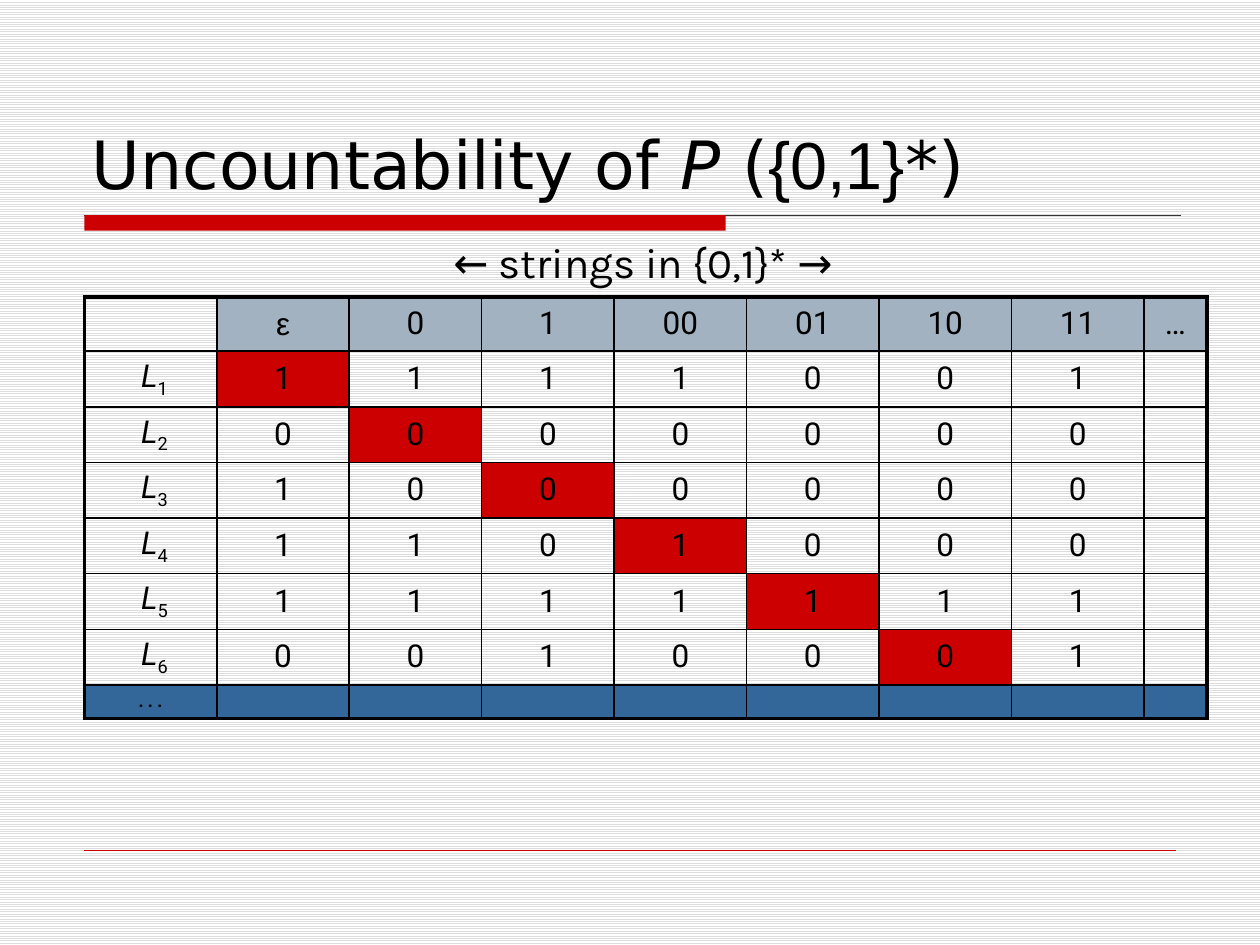
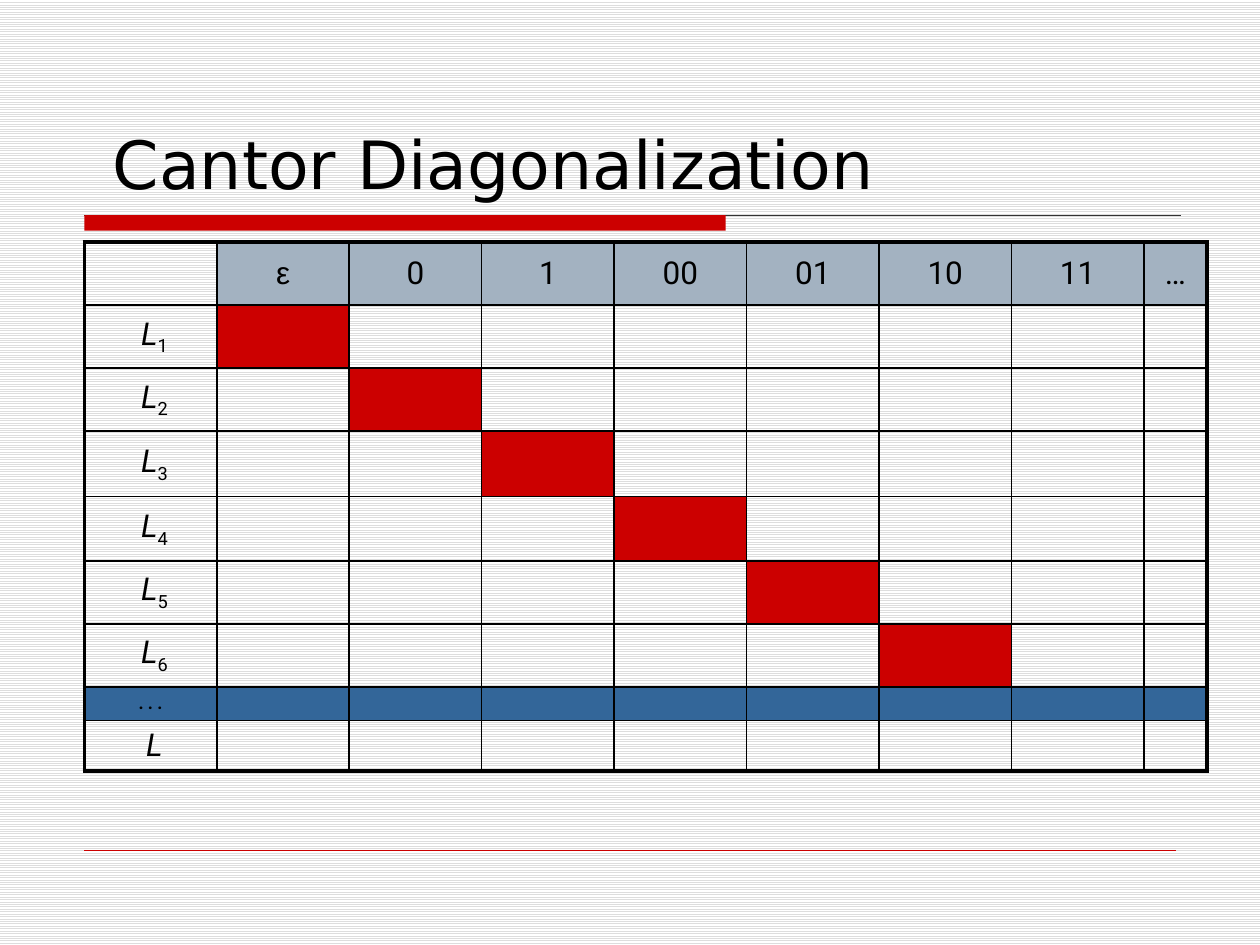
import pptx
import pptx.dml.color
import pptx.enum.dml
import pptx.enum.shapes
import pptx.enum.text
import pptx.oxml
import pptx.oxml.ns
import pptx.util
from pptx.util import Cm

BLACK, WHITE, STRIPE = "000000", "FFFFFF", "DDDDDD"
RED, HEADER, BLUE, RULE = "CC0000", "A3B2C1", "336699", "333333"
TITLE_FONT, CELL_FONT, CAPTION_FONT, SYMBOL_FONT = "DejaVu Sans", "Roboto", "Karla", "Arial"
STRINGS = ["ε", "0", "1", "00", "01", "10", "11", "…"]
COLUMNS = [2.67] * 8 + [1.27]
THIN, THICK = 1, 2.25


def color(value):
    return pptx.dml.color.RGBColor.from_string(value)


def set_font(font, name, size, bold=False):
    font.name = name
    font.size = pptx.util.Pt(size)
    font.bold = bold
    font.color.rgb = color(BLACK)


def add_line(slide, left, top, width, line_color, weight):
    line = slide.shapes.add_connector(
        pptx.enum.shapes.MSO_CONNECTOR.STRAIGHT, Cm(left), Cm(top), Cm(left + width), Cm(top))
    line.line.color.rgb = color(line_color)
    line.line.width = pptx.util.Pt(weight)
    line._element.spPr.append(pptx.oxml.parse_xml(
        "<a:effectLst %s/>" % pptx.oxml.ns.nsdecls("a")))


def add_decoration(slide, left, top, width):
    add_line(slide, left, top, width, RULE, 0.75)
    band = slide.shapes.add_shape(
        pptx.enum.shapes.MSO_SHAPE.RECTANGLE, Cm(left), Cm(top), Cm(12.93), Cm(0.31))
    band.shadow.inherit = False
    band.fill.solid()
    band.fill.fore_color.rgb = color(RED)
    band.line.fill.background()
    add_line(slide, left, top + 12.8, width - 0.1, RED, 0.25)


def add_title(slide, left, top, width, height, parts):
    box = slide.shapes.add_textbox(Cm(left), Cm(top), Cm(width), Cm(height))
    box.text_frame.word_wrap = True
    box.text_frame.vertical_anchor = pptx.enum.text.MSO_ANCHOR.BOTTOM
    paragraph = box.text_frame.paragraphs[0]
    for text, name, italic in parts:
        run = paragraph.add_run()
        run.text = text
        set_font(run.font, name, 38)
        run.font.italic = italic


def add_caption(slide, left, top, width, height, text):
    box = slide.shapes.add_textbox(Cm(left), Cm(top), Cm(width), Cm(height))
    box.text_frame.word_wrap = False
    box.text_frame.auto_size = pptx.enum.text.MSO_AUTO_SIZE.SHAPE_TO_FIT_TEXT
    paragraph = box.text_frame.paragraphs[0]
    paragraph.text = text
    set_font(paragraph.font, CAPTION_FONT, 24)


def set_borders(cell, weights):
    properties = cell._tc.get_or_add_tcPr()
    for index, (side, weight) in enumerate(zip("LRTB", weights)):
        properties.insert(index, pptx.oxml.parse_xml(
            '<a:ln%s %s w="%d"><a:solidFill><a:srgbClr val="%s"/></a:solidFill></a:ln%s>'
            % (side, pptx.oxml.ns.nsdecls("a"), pptx.util.Pt(weight), BLACK, side)))


def fill_cell(cell, text, fill):
    cell.vertical_anchor = pptx.enum.text.MSO_ANCHOR.MIDDLE
    if fill:
        cell.fill.solid()
        cell.fill.fore_color.rgb = color(fill)
    else:
        cell.fill.background()
    paragraph = cell.text_frame.paragraphs[0]
    paragraph.alignment = pptx.enum.text.PP_ALIGN.CENTER
    size = 10 if fill == BLUE else 18
    set_font(paragraph.font, SYMBOL_FONT if text == "ε" else CELL_FONT, size, fill == BLUE)
    if not text:
        paragraph._p.append(pptx.oxml.parse_xml(
            '<a:endParaRPr %s sz="%d"/>' % (pptx.oxml.ns.nsdecls("a"), size * 100)))
    elif text.startswith("L"):
        letter = paragraph.add_run()
        letter.text = " L"
        letter.font.italic = True
        if text[1:]:
            subscript = paragraph.add_run()
            subscript.text = text[1:]
            subscript._r.get_or_add_rPr().set("baseline", "-25000")
    else:
        paragraph.add_run().text = text


def cell_fill(row, column, label):
    if label == ". . .":
        return BLUE
    if row == 0 and column > 0:
        return HEADER
    if row == column and 1 <= row <= 6:
        return RED
    return None


def add_language_table(slide, left, top, heights, rows):
    grid = slide.shapes.add_table(
        len(rows), len(COLUMNS), Cm(left), Cm(top), Cm(sum(COLUMNS)), Cm(sum(heights)))
    table = grid.table
    table.first_row = False
    table.horz_banding = False
    for column, width in zip(table.columns, COLUMNS):
        column.width = Cm(width)
    for row, height in zip(table.rows, heights):
        row.height = Cm(height)
    last_row, last_column = len(rows) - 1, len(COLUMNS) - 1
    for row, texts in enumerate(rows):
        for column in range(len(COLUMNS)):
            cell = table.cell(row, column)
            text = texts[column] if column < len(texts) else ""
            fill_cell(cell, text, cell_fill(row, column, texts[0]))
            edges = (column == 0, column == last_column, row == 0, row == last_row)
            set_borders(cell, [THICK if edge else THIN for edge in edges])


def language_rows(memberships):
    rows = [[""] + STRINGS]
    rows += [["L%d" % number, *bits] for number, bits in enumerate(memberships, 1)]
    return rows + [[". . ."]]


def add_base_slide(presentation, title):
    slide = presentation.slides.add_slide(presentation.slide_layouts[6])
    background = slide.background.fill
    background.patterned()
    background.pattern = pptx.enum.dml.MSO_PATTERN.LIGHT_HORIZONTAL
    background.fore_color.rgb = color(STRIPE)
    background.back_color.rgb = color(WHITE)
    add_decoration(slide, 1.7, 4.34, 22.1)
    add_title(slide, 1.6, 0.84, 22.22, 3.38, title)
    return slide


def add_uncountability_slide(presentation):
    slide = add_base_slide(presentation, [
        ("Uncountability of ", TITLE_FONT, False), ("P ", TITLE_FONT, True),
        ("(", TITLE_FONT, False), ("{0,1}", SYMBOL_FONT, False), ("*)", TITLE_FONT, False)])
    memberships = ["1111001", "0000000", "1000000", "1101000", "1111111", "0010001"]
    add_language_table(slide, 1.7, 5.99, [1.09] * 7 + [0.66], language_rows(memberships))
    add_caption(slide, 8.89, 4.65, 8.84, 1.27, "← strings in {0,1}* →")


def add_diagonalization_slide(presentation):
    slide = add_base_slide(presentation, [(" Cantor Diagonalization", TITLE_FONT, False)])
    heights = [1.27, 1.27, 1.27, 1.32, 1.3, 1.27, 1.27, 0.66, 0.99]
    add_language_table(slide, 1.7, 4.88, heights, language_rows([""] * 6) + [["L"]])


presentation = pptx.Presentation()
presentation.slide_width = Cm(25.4)
presentation.slide_height = Cm(19.05)
add_uncountability_slide(presentation)
add_diagonalization_slide(presentation)
presentation.save("out.pptx")
